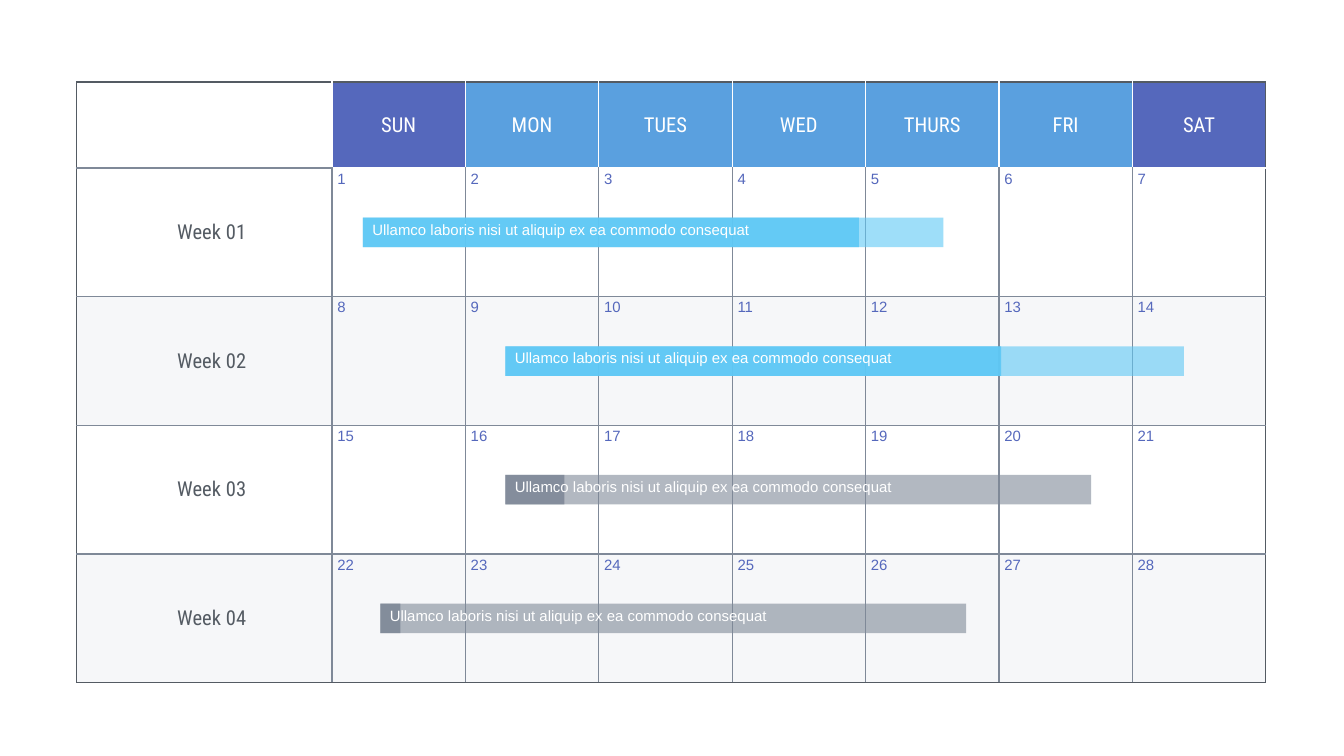
from dataclasses import dataclass

from lxml import etree
from pptx import Presentation
from pptx import util as u
from pptx.dml import color
from pptx.enum import shapes, text
from pptx.oxml import ns


@dataclass(frozen=True)
class Theme:
    white: str = "FFFFFF"
    weekend: str = "5568BC"
    weekday: str = "5AA0DF"
    dark: str = "545B63"
    grey: str = "7F8998"
    stripe: str = "EEF0F4"
    sky: str = "5EC8F5"
    heading_font: str = "Roboto Condensed"
    body_font: str = "Arial"
    heading_size: int = 11
    body_size: int = 8
    line_width: float = 0.75


@dataclass(frozen=True)
class Box:
    left: float
    top: float
    width: float
    height: float


@dataclass(frozen=True)
class Task:
    start: float
    length: float
    done: float
    colour: str


THEME = Theme()
SLIDE_WIDTH = 10
SLIDE_HEIGHT = SLIDE_WIDTH * 9 / 16
DAYS = ["SUN", "MON", "TUES", "WED", "THURS", "FRI", "SAT"]
WEEKS = 4
LABEL_WIDTH = 1.9
HEADER_HEIGHT = 0.64
BAR_HEIGHT = 0.22
TASK_TEXT = "Ullamco laboris nisi ut aliquip ex ea commodo consequat"
TASKS = [
    Task(2.13, 4.32, 3.69, THEME.sky),
    Task(3.19, 5.05, 3.69, THEME.sky),
    Task(3.19, 4.36, 0.44, THEME.grey),
    Task(2.26, 4.36, 0.15, THEME.grey),
]


def paint(fill, element, colour, opacity=100):
    fill.solid()
    fill.fore_color.rgb = color.RGBColor.from_string(colour)
    if opacity < 100:
        rgb = element.find(".//" + ns.qn("a:srgbClr"))
        etree.SubElement(rgb, ns.qn("a:alpha")).set("val", str(opacity * 1000))


def write(target, frame, words, font, size, colour, centred=False, left_margin=0.04):
    target.margin_left = u.Inches(left_margin)
    target.margin_right = u.Inches(0.04)
    target.margin_top = target.margin_bottom = u.Inches(0.02)
    frame.text = words
    paragraph = frame.paragraphs[0]
    paragraph.alignment = text.PP_ALIGN.CENTER if centred else text.PP_ALIGN.LEFT
    run = paragraph.runs[0]
    run.font.name = font
    run.font.size = u.Pt(size)
    run.font.color.rgb = color.RGBColor.from_string(colour)


def border_colours(row, column):
    def is_header(r, c):
        return r == 0 and c > 0

    neighbours = {
        "lnL": (row, column - 1),
        "lnR": (row, column + 1),
        "lnT": (row - 1, column),
        "lnB": (row + 1, column),
    }
    colours = {}
    for side, (r, c) in neighbours.items():
        if not (0 <= r <= WEEKS and 0 <= c <= len(DAYS)):
            colours[side] = THEME.dark
        elif is_header(row, column) or is_header(r, c):
            colours[side] = THEME.white
        else:
            colours[side] = THEME.grey
    return colours


def set_borders(cell, colours):
    properties = cell._tc.get_or_add_tcPr()
    for position, (side, colour) in enumerate(colours.items()):
        line = etree.Element(ns.qn("a:" + side), w=str(u.Pt(THEME.line_width)))
        solid = etree.SubElement(line, ns.qn("a:solidFill"))
        etree.SubElement(solid, ns.qn("a:srgbClr")).set("val", colour)
        properties.insert(position, line)


def fill_cell(cell, row, column):
    if row == 0 and column > 0:
        is_weekend = column in (1, len(DAYS))
        paint(cell.fill, cell._tc, THEME.weekend if is_weekend else THEME.weekday)
        write(cell, cell.text_frame, DAYS[column - 1], THEME.heading_font,
              THEME.heading_size, THEME.white, centred=True)
    elif row > 0:
        if row % 2 == 0:
            paint(cell.fill, cell._tc, THEME.stripe, 50)
        else:
            cell.fill.background()
        if column == 0:
            write(cell, cell.text_frame, f"Week {row:02d}", THEME.heading_font,
                  THEME.heading_size, THEME.dark, centred=True, left_margin=0.15)
        else:
            write(cell, cell.text_frame, str((row - 1) * len(DAYS) + column),
                  THEME.body_font, THEME.body_size, THEME.weekend)
    else:
        cell.fill.background()
    is_heading = row == 0 or column == 0
    cell.vertical_anchor = text.MSO_ANCHOR.MIDDLE if is_heading else text.MSO_ANCHOR.TOP
    set_borders(cell, border_colours(row, column))


def add_calendar(slide, box):
    frame = slide.shapes.add_table(
        WEEKS + 1, len(DAYS) + 1, u.Inches(box.left), u.Inches(box.top),
        u.Inches(box.width), u.Inches(box.height))
    table = frame.table
    table.first_row = table.horz_banding = False
    day_width = (box.width - LABEL_WIDTH) / len(DAYS)
    week_height = (box.height - HEADER_HEIGHT) / WEEKS
    for index, column in enumerate(table.columns):
        column.width = u.Inches(day_width if index else LABEL_WIDTH)
    for index, row in enumerate(table.rows):
        row.height = u.Inches(week_height if index else HEADER_HEIGHT)
        for column_index, cell in enumerate(row.cells):
            fill_cell(cell, index, column_index)


def add_task(slide, box, task):
    group = slide.shapes.add_group_shape()
    left = box.left + task.start
    top = box.top + (box.height - BAR_HEIGHT) / 2
    for width, opacity in ((task.length, 60), (task.done, 90)):
        bar = group.shapes.add_shape(
            shapes.MSO_SHAPE.RECTANGLE, u.Inches(left), u.Inches(top),
            u.Inches(width), u.Inches(BAR_HEIGHT))
        bar.shadow.inherit = False
        bar.line.fill.background()
        paint(bar.fill, bar._element.spPr, task.colour, opacity)
    label = group.shapes.add_textbox(
        u.Inches(left + 0.03), u.Inches(top), u.Inches(3.11), u.Inches(0.18))
    label.text_frame.word_wrap = True
    write(label.text_frame, label.text_frame, TASK_TEXT, THEME.body_font,
          THEME.body_size, THEME.white)


def add_tasks(slide, box):
    week_height = (box.height - HEADER_HEIGHT) / WEEKS
    for index, task in enumerate(TASKS):
        top = box.top + HEADER_HEIGHT + index * week_height
        add_task(slide, Box(box.left, top, box.width, week_height), task)


def main():
    presentation = Presentation()
    presentation.slide_width = u.Inches(SLIDE_WIDTH)
    presentation.slide_height = u.Inches(SLIDE_HEIGHT)
    slide = presentation.slides.add_slide(presentation.slide_layouts[6])
    calendar_box = Box(0.57, 0.61, 8.85, 4.47)
    add_calendar(slide, calendar_box)
    add_tasks(slide, calendar_box)
    presentation.save("out.pptx")


if __name__ == "__main__":
    main()
